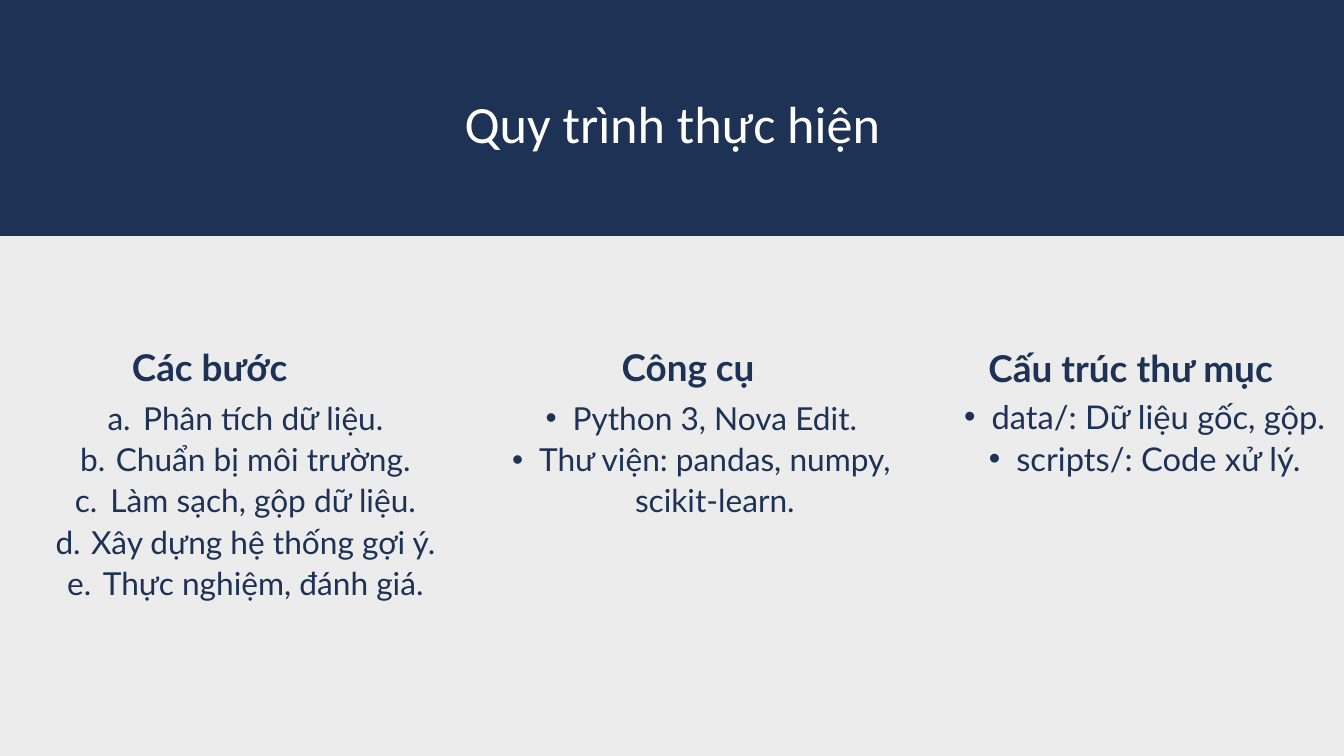
from lxml.etree import SubElement
from pptx import Presentation
from pptx.dml.color import RGBColor
from pptx.enum.shapes import MSO_CONNECTOR
from pptx.enum.text import MSO_ANCHOR, MSO_AUTO_SIZE, PP_ALIGN
from pptx.oxml.ns import qn
from pptx.util import Inches, Pt

NAVY = RGBColor(0x1E, 0x32, 0x56)
PALE = RGBColor(0xED, 0xEC, 0xED)
WHITE = RGBColor(0xFF, 0xFF, 0xFF)

# Left, width, head size, list top, list height, list size, line pitch,
# indent, hang, bullet, head, items
COLUMNS = [
    (-0.49, 7.22, 39.5, 5.89, 3.61, 33.9, 44.1, 1.6, 0.53, "a.", "Các bước",
     ["Phân tích dữ liệu.", "Chuẩn bị môi trường.", "Làm sạch, gộp dữ liệu.",
      "Xây dựng hệ thống gợi ý.", "Thực nghiệm, đánh giá."]),
    (6.98, 6.52, 39.5, 5.89, 2.41, 33.9, 44.1, 0.8, 0.4, "•", "Công cụ",
     ["Python 3, Nova Edit.", "Thư viện: pandas, numpy, scikit-learn."]),
    (13.73, 6.19, 39.6, 5.85, 1.87, 35, 45.5, 0.83, 0.41, "•", "Cấu trúc thư mục",
     ["data/: Dữ liệu gốc, gộp.", "scripts/: Code xử lý."]),
]


class Deck:
    def __init__(self, slide, font="Lato", color=NAVY):
        self.slide, self.font, self.color = slide, font, color
        self.bodies = list(slide.placeholders)[1:]

    def band(self, x, y, w, h):
        pen = self.slide.shapes.build_freeform(Inches(x), Inches(y))
        pen.add_line_segments([(Inches(x + w), Inches(y)),
                               (Inches(x + w), Inches(y + h)),
                               (Inches(x), Inches(y + h))], close=True)
        shape = pen.convert_to_shape()
        shape.shadow.inherit = False
        shape.fill.solid()
        shape.fill.fore_color.rgb = self.color
        shape.line.fill.background()
        # Keep the band behind the placeholders
        self.slide.shapes._spTree.insert(2, shape._element)

    def text(self, shape, box, lines, size, pitch, bold=False, font=None, color=None):
        shape.left, shape.top, shape.width, shape.height = map(Inches, box)
        frame = shape.text_frame
        frame.text = "\n".join(lines)
        frame.word_wrap = True
        frame.auto_size = MSO_AUTO_SIZE.SHAPE_TO_FIT_TEXT
        frame.vertical_anchor = MSO_ANCHOR.TOP
        frame.margin_left = frame.margin_right = 0
        frame.margin_top = frame.margin_bottom = 0
        for par in frame.paragraphs:
            par.alignment = PP_ALIGN.CENTER
            par.line_spacing = Pt(pitch)
            par.space_before = par.space_after = Pt(0)
            for run in par.runs:
                run.font.name = font or self.font
                run.font.size = Pt(size)
                run.font.bold = bold
                run.font.color.rgb = color or self.color
        return frame

    def title(self, box, words):
        self.text(self.slide.shapes.title, box, [words], 56, 67.2,
                  font="Calibri", color=WHITE)

    def body(self):
        """Next free body placeholder, or a text box once all are in use."""
        if self.bodies:
            return self.bodies.pop(0)
        return self.slide.shapes.add_textbox(0, 0, 0, 0)

    def head(self, box, words, size):
        self.text(self.body(), box, [words], size, size * 1.3, bold=True)

    def list(self, box, items, size, pitch, indent, hang, mark):
        frame = self.text(self.body(), box, items, size, pitch)
        for par in frame.paragraphs:
            par.level = 2 if mark == "a." else 1
            props = par._p.get_or_add_pPr()
            props.set("marL", str(Inches(indent)))
            props.set("indent", str(-Inches(hang)))
            if mark == "a.":
                SubElement(props, qn("a:buFont")).set("typeface", self.font)
                SubElement(props, qn("a:buAutoNum")).set("type", "alphaLcPeriod")
            else:
                SubElement(props, qn("a:buFont")).set("typeface", "Arial")
                SubElement(props, qn("a:buChar")).set("char", mark)

    def rule(self, x, top, end):
        line = self.slide.shapes.add_connector(
            MSO_CONNECTOR.STRAIGHT, Inches(x), Inches(end), Inches(x), Inches(top))
        line.line.color.rgb = PALE
        line.line.width = Pt(2.25)
        SubElement(line._element.spPr, qn("a:effectLst"))


def main():
    prs = Presentation()
    prs.slide_width, prs.slide_height = Inches(20), Inches(11.25)
    slide = prs.slides.add_slide(prs.slide_layouts.get_by_name("Comparison"))
    slide.background.fill.solid()
    slide.background.fill.fore_color.rgb = PALE
    deck = Deck(slide)

    # Title band
    deck.band(0, 0, 20, 3.51)
    deck.title((4.57, 1.36, 10.88, 0.93), "Quy trình thực hiện")

    # Three columns
    for x, w, big, top, h, size, pitch, indent, hang, mark, head, items in COLUMNS:
        deck.head((x, 5.08, w, 0.69), head, big)
        deck.list((x, top, w, h), items, size, pitch, indent, hang, mark)

    # Dividers
    for x in (6.74, 13.73):
        deck.rule(x, 4.14, 9.5)

    prs.save("out.pptx")


if __name__ == "__main__":
    main()
